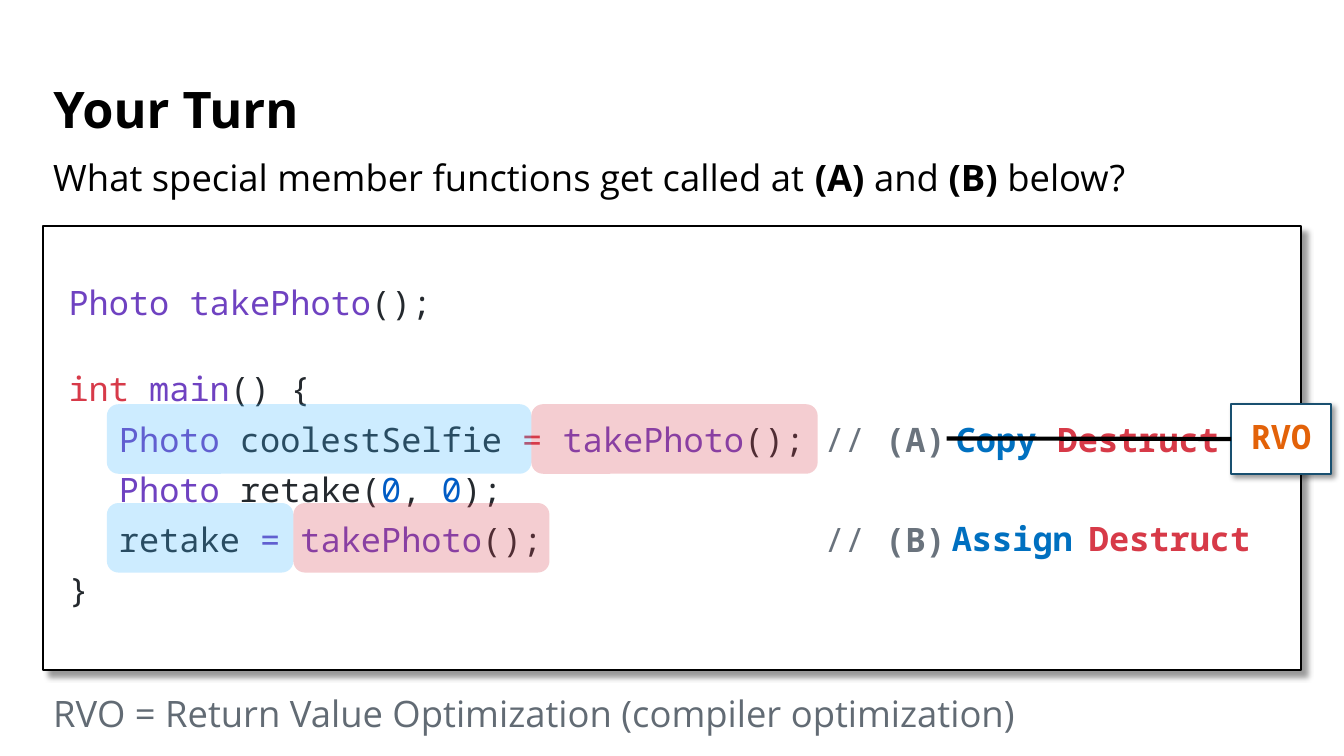
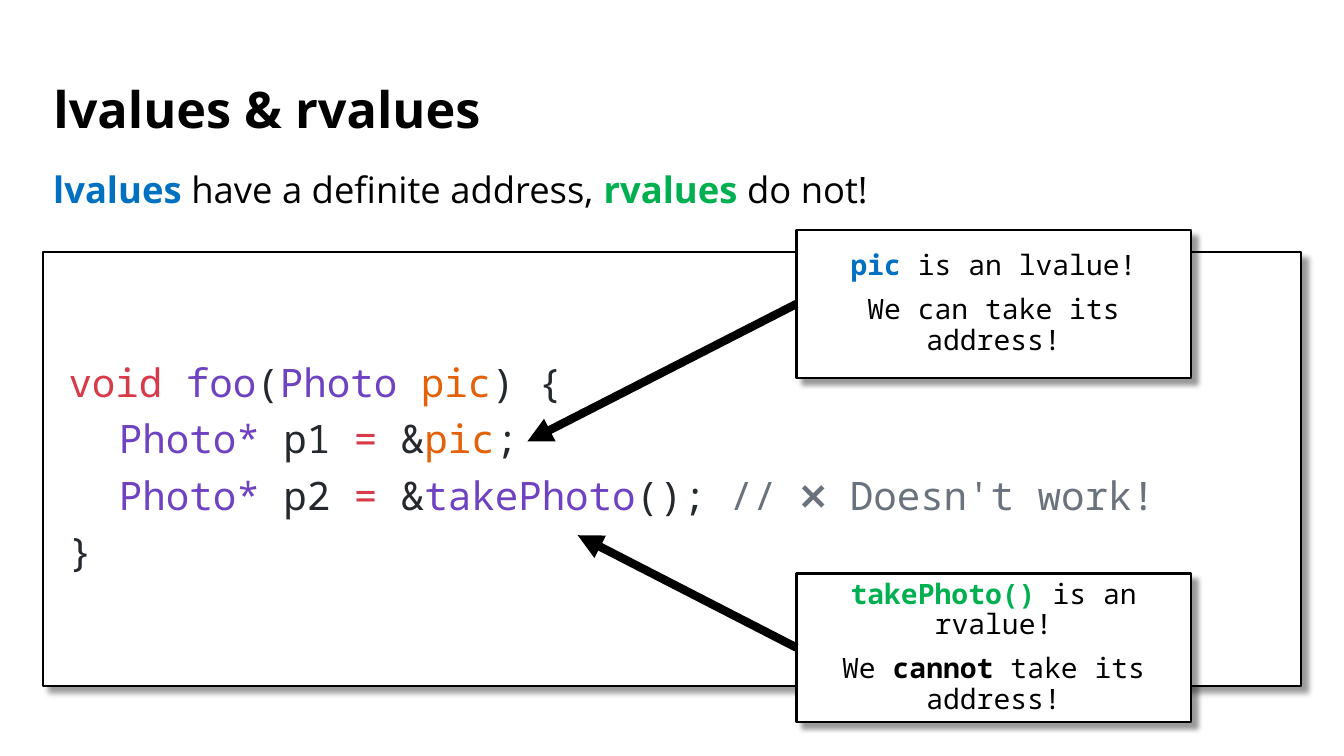
from lxml import etree
from pptx import Presentation
from pptx.dml.color import RGBColor
from pptx.enum.shapes import MSO_CONNECTOR, MSO_SHAPE
from pptx.enum.text import MSO_ANCHOR, PP_ALIGN
from pptx.oxml import parse_xml
from pptx.oxml.ns import qn
from pptx.util import Inches, Pt

LEFT, CENTER = PP_ALIGN.LEFT, PP_ALIGN.CENTER
TOP, MIDDLE = MSO_ANCHOR.TOP, MSO_ANCHOR.MIDDLE
RECTANGLE, ROUNDED = MSO_SHAPE.RECTANGLE, MSO_SHAPE.ROUNDED_RECTANGLE
STRAIGHT = MSO_CONNECTOR.STRAIGHT
LEFT_SIDE = 1

SANS, MONO = "Open Sans", "Noto Sans Mono"
BLACK, WHITE = "000000", "FFFFFF"
BLUE, GREEN, RUST = "0070C0", "00B050", "E36209"
KEYWORD, NAME, PLAIN = "D73A49", "6F42C1", "24292E"
NUMBER, COMMENT, NOTE = "005CC5", "6A737D", "626B74"
SKY, ROSE, NAVY = "38B6FF", "D73A48", "195070"

MARGIN, CONTENT_WIDTH = 0.43, 12.47
TITLE_BOX = (MARGIN, 0.69, CONTENT_WIDTH, 0.84)
TEXT_INSETS = (0.1, 0.05, 0.1, 0.05)
PANEL_INSETS = (0.25, 0.25, 0.25, 0.25)
LABEL_INSETS = (0, 0.25, 0, 0.25)
CODE_TABS = (0.5, 7.5)
ROW_HEIGHT = 0.69
DRAWING = "http://schemas.openxmlformats.org/drawingml/2006/main"


def color(value):
    return RGBColor.from_string(value)


def inches(values):
    return [Inches(value) for value in values]


def add_tabs(para, stops):
    tabs = etree.SubElement(para._p.get_or_add_pPr(), qn("a:tabLst"))
    for stop in stops:
        etree.SubElement(tabs, qn("a:tab"), pos=str(Inches(stop)), algn="l")


def write(shape, lines, size, face=MONO, align=LEFT, anchor=MIDDLE,
          insets=PANEL_INSETS, spacing=0.9, tabs=(), gaps=()):
    """Fill a shape with lines of (text, colour, bold) spans.

    gaps maps a line number to its space before, where it is not 10 points.
    """
    frame = shape.text_frame
    left, top, right, bottom = inches(insets)
    settings = {"word_wrap": True, "vertical_anchor": anchor,
                "margin_left": left, "margin_top": top,
                "margin_right": right, "margin_bottom": bottom}
    for key, value in settings.items():
        setattr(frame, key, value)
    gaps = dict(gaps)
    for index, spans in enumerate(lines):
        para = frame.add_paragraph() if index else frame.paragraphs[0]
        para.alignment = align
        para.line_spacing = spacing
        para.space_before = Pt(gaps.get(index, 10) if index else 0)
        if tabs:
            add_tabs(para, tabs)
        for text, ink, *bold in spans:
            span = para.add_run()
            span.text = text
            span.font.color.rgb = color(ink)
            style = {"name": face, "size": Pt(size), "bold": bool(bold)}
            for key, value in style.items():
                setattr(span.font, key, value)


def add_title(page, text):
    title = page.shapes.title
    title.left, title.top, title.width, title.height = inches(TITLE_BOX)
    write(title, [[(text, BLACK, True)]], 36, SANS, insets=TEXT_INSETS)


def add_sentence(page, top, spans):
    box = page.shapes.add_textbox(*inches((MARGIN, top, CONTENT_WIDTH, 0.47)))
    write(box, [spans], 26, SANS, anchor=TOP, insets=TEXT_INSETS, spacing=0.8)


def add_panel(page, box, line=BLACK, distance=6):
    """White framed box with a soft shadow to the lower right."""
    panel = page.shapes.add_shape(RECTANGLE, *inches(box))
    panel.fill.solid()
    panel.fill.fore_color.rgb = color(WHITE)
    panel.line.color.rgb = color(line)
    panel.line.width = Pt(1.5)
    panel.shadow.inherit = False
    effects = panel._element.spPr.find(qn("a:effectLst"))
    effects.append(parse_xml(
        f'<a:outerShdw xmlns:a="{DRAWING}" blurRad="{Pt(4)}" dist="{Pt(distance)}" '
        'dir="2700000" algn="tl" rotWithShape="0"><a:srgbClr val="000000">'
        '<a:alpha val="40000"/></a:srgbClr></a:outerShdw>'))
    return panel


def add_code(page, box, lines, size, gaps=()):
    write(add_panel(page, box), lines, size, tabs=CODE_TABS, gaps=gaps)


def add_highlight(page, box, tint):
    mark = page.shapes.add_shape(ROUNDED, *inches(box))
    mark.shadow.inherit = False
    mark.fill.solid()
    mark.fill.fore_color.rgb = color(tint)
    mark.line.fill.background()
    tint_element = mark._element.spPr.find(qn("a:solidFill"))[0]
    etree.SubElement(tint_element, qn("a:alpha"), val="25000")


def add_answer_row(page, left, top, widths, labels):
    """Mark both halves of a statement and name the calls beside it."""
    start = left
    for width, tint in zip(widths, (SKY, ROSE)):
        add_highlight(page, (start, top, width, ROW_HEIGHT), tint)
        start += width
    for (offset, text), ink in zip(labels, (BLUE, ROSE)):
        label = page.shapes.add_textbox(
            *inches((left + offset, top + 0.03, 1.71, ROW_HEIGHT)))
        write(label, [[(text, ink, True)]], 24, insets=LABEL_INSETS)


def add_line(page, box_shape, other_end, width, arrow=False, ends_at_box=False):
    """Straight line between a free point and the left side of a box."""
    point = inches(other_end)
    line = page.shapes.add_connector(STRAIGHT, *point, *point)
    join = line.end_connect if ends_at_box else line.begin_connect
    join(box_shape, LEFT_SIDE)
    line.line.color.rgb = color(BLACK)
    line.line.width = Pt(width)
    properties = line._element.spPr
    if arrow:
        etree.SubElement(properties.find(qn("a:ln")), qn("a:tailEnd"), type="triangle")
    etree.SubElement(properties, qn("a:effectLst"))


def add_callout(page, box, lines, target):
    callout = add_panel(page, box)
    write(callout, lines, 20, align=CENTER)
    add_line(page, callout, target, 6, arrow=True)


def build_question(page):
    add_title(page, "Your Turn")
    add_sentence(page, 1.57, [
        ("What special member functions get called at ", BLACK), ("(A)", BLACK, True),
        (" and ", BLACK), ("(B)", BLACK, True), (" below?", BLACK)])
    # Code; the wider gap sets main() apart
    add_code(page, (MARGIN, 2.24, CONTENT_WIDTH, 4.41), [
        [("Photo takePhoto", NAME), ("();", PLAIN)],
        [("int ", KEYWORD), ("main", NAME), ("() {", PLAIN)],
        [("\tPhoto ", NAME), ("coolestSelfie ", PLAIN), ("= ", KEYWORD),
         ("takePhoto", NAME), ("();\t", PLAIN), ("// ", COMMENT), ("(A)", COMMENT, True)],
        [("\tPhoto", NAME), (" retake(", PLAIN), ("0", NUMBER), (", ", PLAIN),
         ("0", NUMBER), (");", PLAIN)],
        [("\tretake ", PLAIN), ("= takePhoto", NAME), ("();\t", PLAIN),
         ("// ", COMMENT), ("(B)", COMMENT, True)],
        [("}", PLAIN)],
    ], 24, gaps={1: 36})
    # Answers
    row_left, row_top = 1.06, 4.01
    add_answer_row(page, row_left, row_top, (4.21, 2.84),
                   [(8.42, "Copy"), (9.43, "Destruct")])
    add_answer_row(page, row_left, row_top + 0.98, (1.85, 2.54),
                   [(8.38, "Assign"), (9.74, "Destruct")])
    # Struck out by the optimization
    badge = add_panel(page, (12.21, row_top, 0.99, ROW_HEIGHT), NAVY, 3)
    write(badge, [[("RVO", RUST, True)]], 24, align=CENTER, insets=LABEL_INSETS)
    add_line(page, badge, (9.39, 4.35), 3, ends_at_box=True)
    add_sentence(page, 6.89, [
        ("RVO = Return Value Optimization (compiler optimization)", NOTE)])


def build_values(page):
    add_title(page, "lvalues & rvalues")
    add_sentence(page, 1.69, [
        ("lvalues", BLUE, True), (" have a definite address, ", BLACK),
        ("rvalues", GREEN, True), (" do not!", BLACK)])
    # Code
    add_code(page, (MARGIN, 2.5, CONTENT_WIDTH, 4.31), [
        [("void ", KEYWORD), ("foo", NAME), ("(", PLAIN), ("Photo ", NAME),
         ("pic", RUST), (") {", PLAIN)],
        [("\tPhoto*", NAME), (" p1 ", PLAIN), ("=", KEYWORD), (" &", PLAIN),
         ("pic", RUST), (";", PLAIN)],
        [("\tPhoto*", NAME), (" p2 ", PLAIN), ("=", KEYWORD), (" &", PLAIN),
         ("takePhoto", NAME), ("(); ", PLAIN), ("// ❌ Doesn't work!", COMMENT)],
        [("}", PLAIN)],
    ], 28)
    # Callouts
    add_callout(page, (7.9, 2.28, 3.91, 1.47), [
        [("pic", BLUE, True), (" is an lvalue!", BLACK)],
        [("We can take its address!", BLACK)],
    ], (5.23, 4.38))
    add_callout(page, (7.9, 5.69, 3.91, 1.47), [
        [("takePhoto() ", GREEN, True), ("is an rvalue!", BLACK)],
        [("We ", BLACK), ("cannot", BLACK, True), (" take its address!", BLACK)],
    ], (5.73, 5.31))


def main():
    deck = Presentation()
    deck.slide_width, deck.slide_height = inches((13.33, 7.5))
    title_only = deck.slide_layouts[5]
    for build in (build_question, build_values):
        build(deck.slides.add_slide(title_only))
    deck.save("out.pptx")


if __name__ == "__main__":
    main()
